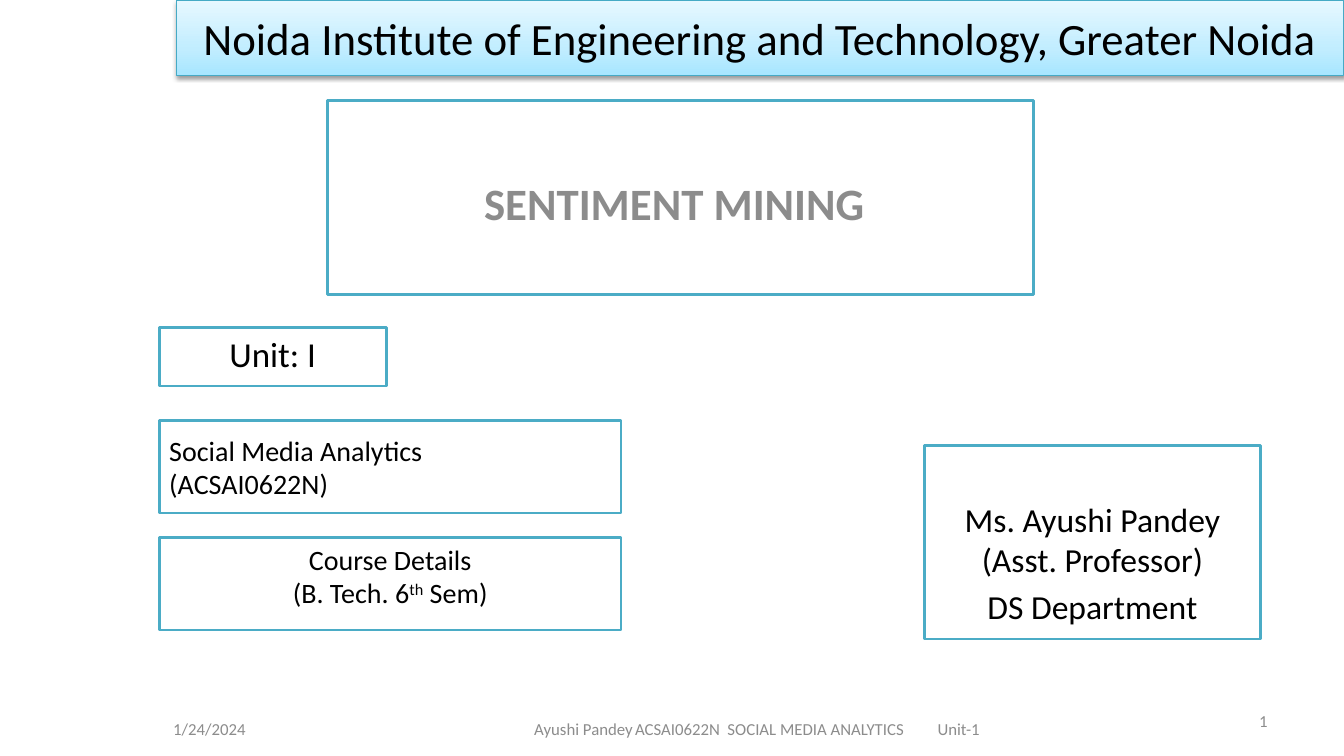
import copy
from dataclasses import dataclass

import lxml.etree
import pptx
import pptx.dml.color
import pptx.enum.shapes
import pptx.enum.text
import pptx.oxml
import pptx.oxml.ns
import pptx.util

Inches = pptx.util.Inches
Pt = pptx.util.Pt
RGB = pptx.dml.color.RGBColor.from_string
ALIGN = pptx.enum.text.PP_ALIGN
ANCHOR = pptx.enum.text.MSO_ANCHOR
qn = pptx.oxml.ns.qn


@dataclass(frozen=True)
class Theme:
    font: str = "Calibri"
    ink: str = "000000"
    grey: str = "8C8C8C"
    white: str = "FFFFFF"
    border: str = "4BACC6"
    banner_line: str = "46AAC5"
    banner: tuple = ((0, "A7E6FF"), (0.35, "C1EDFF"), (1, "E7F8FF"))
    heading: int = 32
    unit: int = 25
    name: int = 24
    course: int = 20
    footer: int = 12


T = Theme()


def add_run(p, text, size, color=T.ink, bold=False):
    r = p.add_run()
    r.text = text
    r.font.name, r.font.size, r.font.bold = T.font, Pt(size), bold
    r.font.color.rgb = RGB(color)
    return r


def add_box(s, at, framed=True, anchor=ANCHOR.TOP):
    at = [Inches(v) for v in at]
    if framed:
        sp = s.shapes.add_shape(pptx.enum.shapes.MSO_SHAPE.RECTANGLE, *at)
        sp.shadow.inherit = False
        sp.fill.solid()
        sp.fill.fore_color.rgb = RGB(T.white)
        sp.line.color.rgb = RGB(T.border)
        sp.line.width = Pt(2)
    else:
        sp = s.shapes.add_textbox(*at)
    tf = sp.text_frame
    tf.word_wrap = True
    tf.vertical_anchor = anchor
    return tf


prs = pptx.Presentation()
prs.slide_width, prs.slide_height = Inches(13.33), Inches(7.5)
s = prs.slides.add_slide(prs.slide_layouts[5])

# Title banner with gradient and shadow
title = s.shapes.title
title.left, title.top = Inches(1.75), Inches(0)
title.width, title.height = Inches(11.58), Inches(0.75)
title.fill.gradient()
title.fill.gradient_angle = 90
gs_list = title.element.spPr.find(".//" + qn("a:gsLst"))
gs_list.append(copy.deepcopy(gs_list[-1]))
for stop, (position, color) in zip(title.fill.gradient_stops, T.banner):
    stop.position = position
    stop.color.rgb = RGB(color)
title.line.color.rgb = RGB(T.banner_line)
title.line.width = Pt(0.75)
effects = lxml.etree.SubElement(title.element.spPr, qn("a:effectLst"))
shadow = lxml.etree.SubElement(effects, qn("a:outerShdw"), blurRad=str(Pt(3.1)),
                               dist=str(Pt(1.6)), dir="5400000", rotWithShape="0")
shade = lxml.etree.SubElement(shadow, qn("a:srgbClr"), val=T.ink)
lxml.etree.SubElement(shade, qn("a:alpha"), val="38000")
tf = title.text_frame
tf.vertical_anchor = ANCHOR.MIDDLE
p = tf.paragraphs[0]
p.alignment = ALIGN.CENTER
add_run(p, "Noida Institute of Engineering and Technology, Greater Noida", T.heading)

# Topic
tf = add_box(s, (3.25, 1, 7, 1.92), anchor=ANCHOR.MIDDLE)
tf.margin_right, tf.margin_top = Inches(0.22), Inches(0.15)
p = tf.paragraphs[0]
p.alignment = ALIGN.CENTER
add_run(p, "SENTIMENT MINING", T.heading, T.grey, bold=True)

# Lecturer
tf = add_box(s, (9.17, 4.42, 3.33, 1.92))
tf.margin_top = Inches(0.53)
p = tf.paragraphs[0]
p.alignment = ALIGN.CENTER
add_run(p, "Ms. Ayushi Pandey (Asst. Professor)", T.name)
p = tf.add_paragraph()
p.alignment = ALIGN.CENTER
p.space_before = Pt(0.2 * T.name)
add_run(p, "DS Department", T.name)

# Unit
p = add_box(s, (1.58, 3.25, 2.25, 0.58)).paragraphs[0]
p.alignment = ALIGN.CENTER
add_run(p, "Unit: I", T.unit)

# Subject
tf = add_box(s, (1.58, 4.17, 4.58, 0.92), anchor=ANCHOR.MIDDLE)
for i, text in enumerate(("Social Media Analytics", "(ACSAI0622N)")):
    p = tf.add_paragraph() if i else tf.paragraphs[0]
    p.alignment = ALIGN.LEFT
    add_run(p, text, T.course)

# Course
p = add_box(s, (1.58, 5.33, 4.58, 0.92)).paragraphs[0]
p.alignment = ALIGN.CENTER
add_run(p, "Course Details", T.course)
p.add_line_break()
add_run(p, "(B. Tech. 6", T.course)
r = add_run(p, "th", T.course)
r.font._element.set("baseline", "30000")
add_run(p, " Sem)", T.course)

# Date and slide number
for at, text, align in (((1.62, 7.03, 2.33, 0.4), "1/24/2024", ALIGN.LEFT),
                        ((9.56, 6.95, 3.11, 0.4), "1", ALIGN.RIGHT)):
    p = add_box(s, at, framed=False, anchor=ANCHOR.MIDDLE).paragraphs[0]
    p.alignment = align
    add_run(p, text, T.footer, T.grey)

# Footer: three parts set apart by tab stops
tf = add_box(s, (4.46, 7.03, 6.92, 0.4), framed=False, anchor=ANCHOR.MIDDLE)
p = tf.paragraphs[0]
pPr = p._p.get_or_add_pPr()
pPr.set("marL", str(Inches(0.74)))
pPr.set("indent", "0")
tabs = lxml.etree.SubElement(pPr, qn("a:tabLst"))
for stop in (2.24, 5.54):
    lxml.etree.SubElement(tabs, qn("a:tab"), pos=str(Inches(stop)), algn="l")
add_run(p, "Ayushi Pandey\tACSAI0622N  SOCIAL MEDIA ANALYTICS\tUnit-1", T.footer, T.grey)

prs.save("out.pptx")
